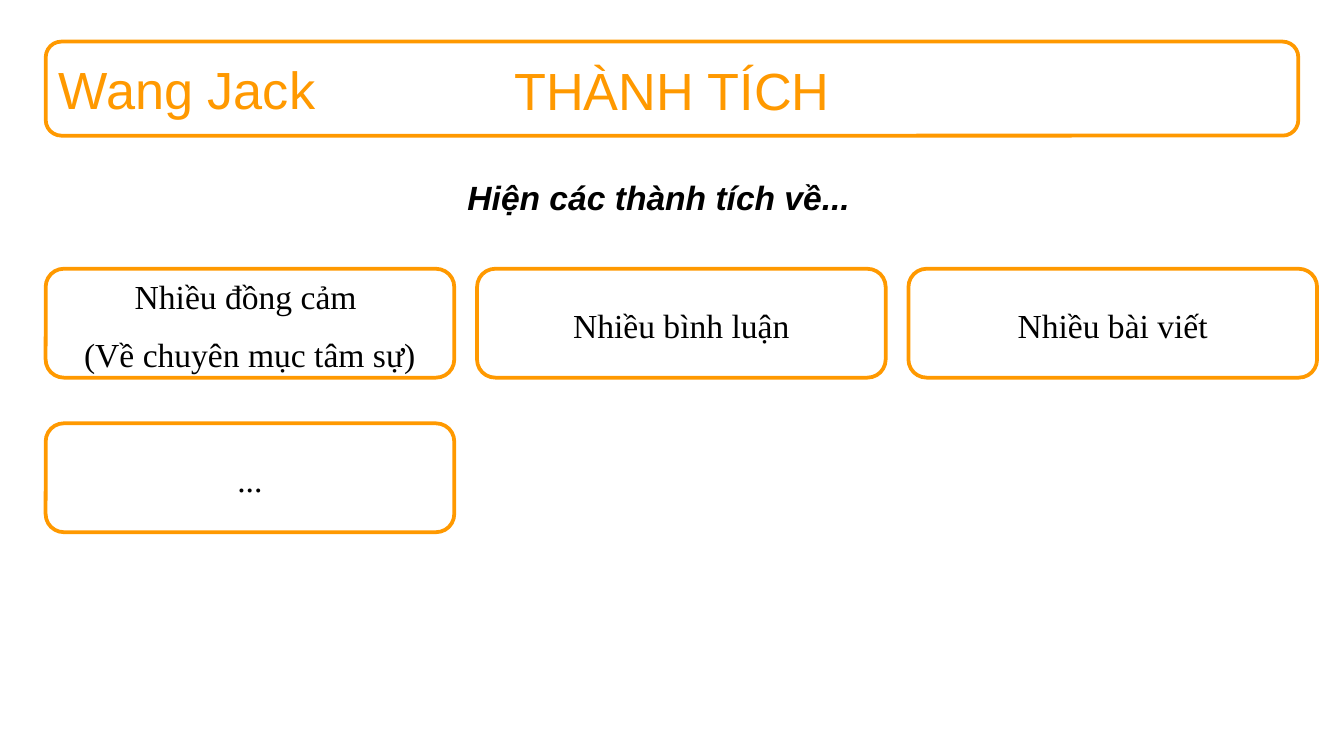
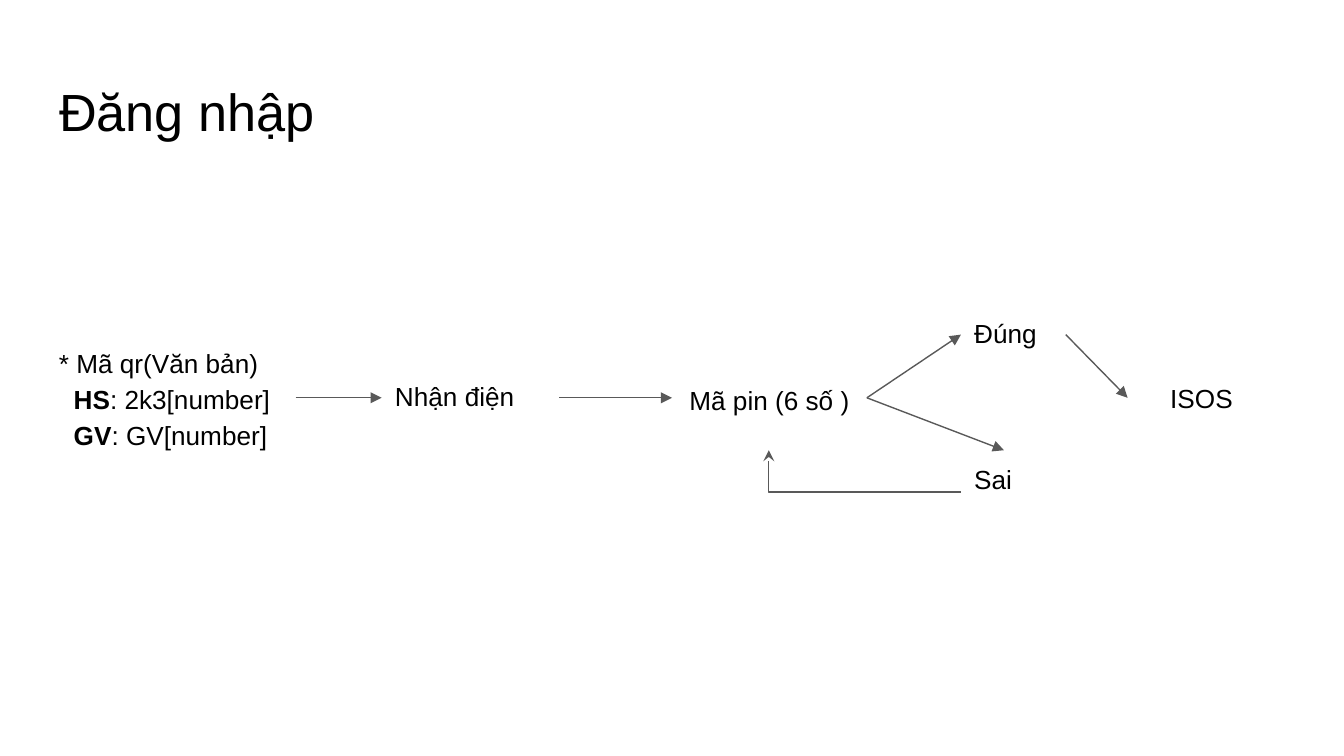
from pptx import Presentation
from pptx.dml.color import RGBColor
from pptx.enum.shapes import MSO_CONNECTOR, MSO_SHAPE
from pptx.enum.text import MSO_ANCHOR, MSO_AUTO_SIZE, PP_ALIGN
from pptx.oxml.ns import qn
from pptx.util import Inches, Pt
from lxml.etree import SubElement

ORANGE, BLACK, GREY = "FF9900", "000000", "595959"
LEFT, WIDE = 0.34, 9.32


def fill_text(shape, at, text, size, color=BLACK, face="Arial", pad=0.1,
              align=PP_ALIGN.LEFT, anchor=MSO_ANCHOR.TOP, space=1.0):
    """Place a shape and write its text in one style."""
    shape.left, shape.top, shape.width, shape.height = map(Inches, at)
    frame = shape.text_frame
    frame.text = text
    frame.word_wrap = True
    frame.auto_size = MSO_AUTO_SIZE.NONE
    frame.vertical_anchor = anchor
    frame.margin_left = frame.margin_right = Inches(0.1)
    frame.margin_top = frame.margin_bottom = Inches(pad)
    for para in frame.paragraphs:
        para.alignment = align
        para.line_spacing = space
        for run in para.runs:
            run.font.size = Pt(size)
            run.font.name = face
            run.font.color.rgb = RGBColor.from_string(color)
    return frame


def add_box(slide, *at):
    """Add an empty rounded box with an orange outline."""
    box = slide.shapes.add_shape(MSO_SHAPE.ROUNDED_RECTANGLE, *map(Inches, at))
    box.shadow.inherit = False
    box.fill.background()
    box.line.color.rgb = RGBColor.from_string(ORANGE)
    box.line.width = Pt(2)
    return box


deck = Presentation()
deck.slide_width, deck.slide_height = Inches(10), Inches(10 * 9 / 16)
layout = deck.slide_layouts[5]

# Achievements
slide = deck.slides.add_slide(layout)
add_box(slide, LEFT, 0.31, WIDE, 0.7)
user = slide.shapes.add_textbox(0, 0, 0, 0)
fill_text(user, (LEFT, 0.38, 2.24, 0.57), "Wang Jack", 28, ORANGE, pad=0.05)
fill_text(slide.shapes.title, (3.55, 0.38, 2.9, 0.57), "THÀNH TÍCH", 28, ORANGE,
          pad=0.05, align=PP_ALIGN.CENTER)
hint = slide.shapes.add_textbox(0, 0, 0, 0)
frame = fill_text(hint, (3.38, 1.22, 3.23, 0.57), "Hiện các thành tích về...", 18)
font = frame.paragraphs[0].runs[0].font
font.bold = font.italic = True

awards = ["Nhiều đồng cảm \n(Về chuyên mục tâm sự)", "Nhiều bình luận",
          "Nhiều bài viết", "..."]
for i, award in enumerate(awards):
    row, col = divmod(i, 3)
    at = (LEFT + col * 3.21, 2 + row * 1.15, 3.04, 0.81)
    frame = fill_text(add_box(slide, *at), at, award, 18, face="Times New Roman",
                      pad=0.05, align=PP_ALIGN.CENTER,
                      anchor=MSO_ANCHOR.MIDDLE, space=1.08)
    for para in frame.paragraphs[1:]:
        para.space_before = Pt(8)
    frame.paragraphs[-1].space_after = Pt(8)

# Login flow
slide = deck.slides.add_slide(layout)
fill_text(slide.shapes.title, (LEFT, 0.49, WIDE, 0.63), "Đăng nhập", 28)

code = slide.shapes.add_textbox(0, 0, 0, 0)
frame = fill_text(code, (LEFT, 2.45, 1.86, 1.01),
                  "* Mã qr(Văn bản)\nHS\nGV", 14, space=1.15)
for para, rest in zip(frame.paragraphs[1:], [": 2k3[number]", ": GV[number]"]):
    para._p.get_or_add_pPr().set("marL", str(Inches(0.11)))
    para.runs[0].font.bold = True
    run = para.add_run()
    run.text = rest
    run.font.size = Pt(14)
    run.font.name = "Arial"
    run.font.color.rgb = RGBColor.from_string(BLACK)

mid = dict(align=PP_ALIGN.CENTER, anchor=MSO_ANCHOR.MIDDLE)
steps = [
    ("Mã pin (6 số )", (5, 2.57, 1.45, 0.78), dict(mid, space=1.15)),
    ("Nhận điện", (2.84, 2.73, 1.32, 0.47), {}),
    ("Đúng", (7.15, 2.26, 0.78, 0.47), {}),
    ("Sai", (7.15, 3.35, 0.63, 0.63), {}),
    ("ISOS", (8.39, 2.69, 1.1, 0.54), mid),
]
for text, at, style in steps:
    fill_text(slide.shapes.add_textbox(0, 0, 0, 0), at, text, 14, **style)

links = [
    (2.2, 2.96, 2.84, 2.96),
    (4.16, 2.96, 5, 2.96),
    (7.93, 2.49, 8.39, 2.96),
    (6.45, 2.96, 7.47, 3.35),
    (6.45, 2.96, 7.15, 2.49),
    (5.72, 3.35, 7.15, 3.66),
]
retry = links[-1]
for ends in links:
    bent = ends == retry
    kind = MSO_CONNECTOR.ELBOW if bent else MSO_CONNECTOR.STRAIGHT
    link = slide.shapes.add_connector(kind, *map(Inches, ends))
    link.line.color.rgb = RGBColor.from_string(GREY)
    link.line.width = Pt(0.75)
    props = link._element.spPr
    head = SubElement(props.find(qn("a:ln")), qn("a:tailEnd"))
    head.set("type", "stealth" if bent else "triangle")
    SubElement(props, qn("a:effectLst"))
    if bent:
        # One corner, turned half round: runs left from "Sai", then up to the pin
        props.find(qn("a:prstGeom")).set("prst", "bentConnector2")
        props.find(qn("a:xfrm")).set("rot", "10800000")

deck.save("out.pptx")
